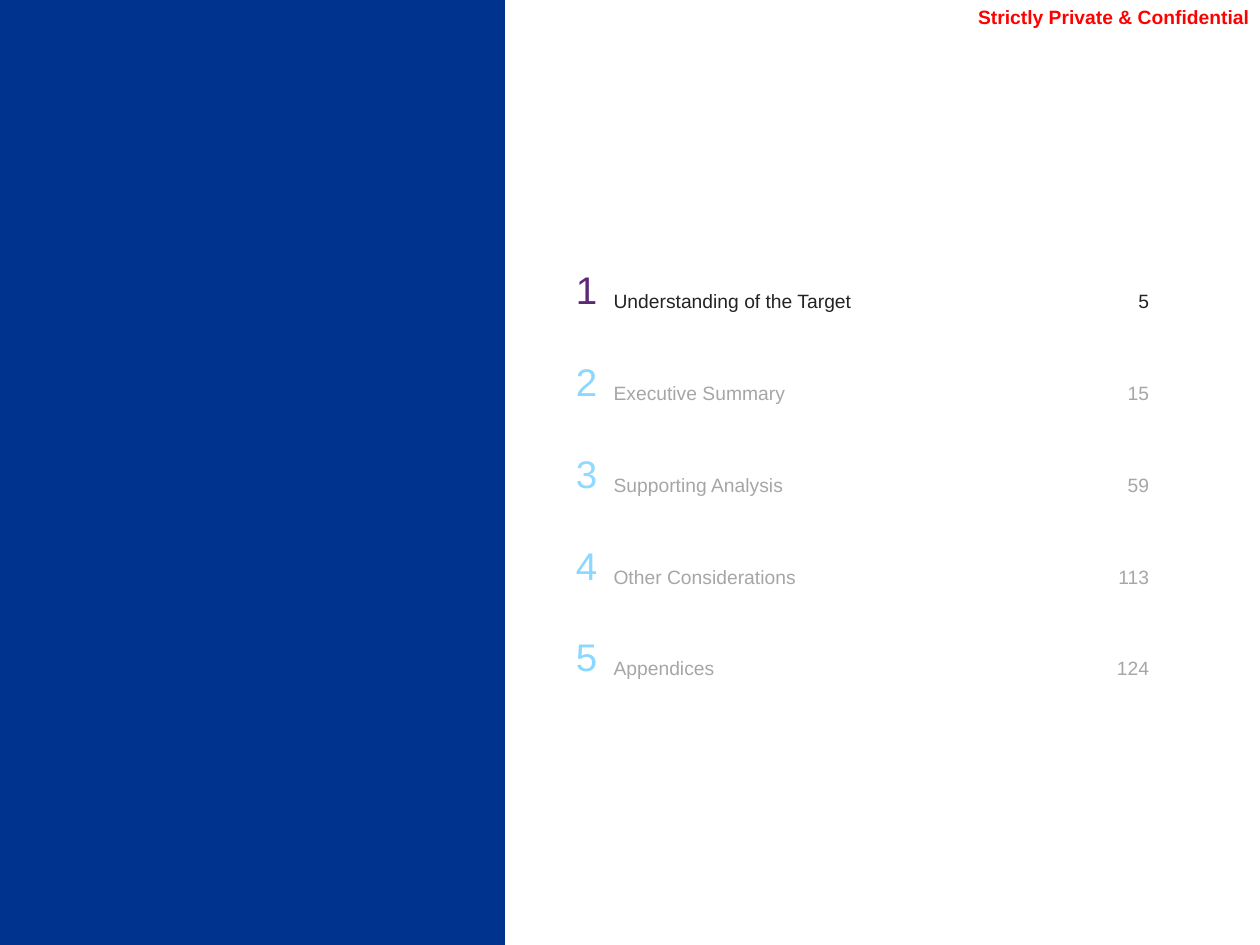
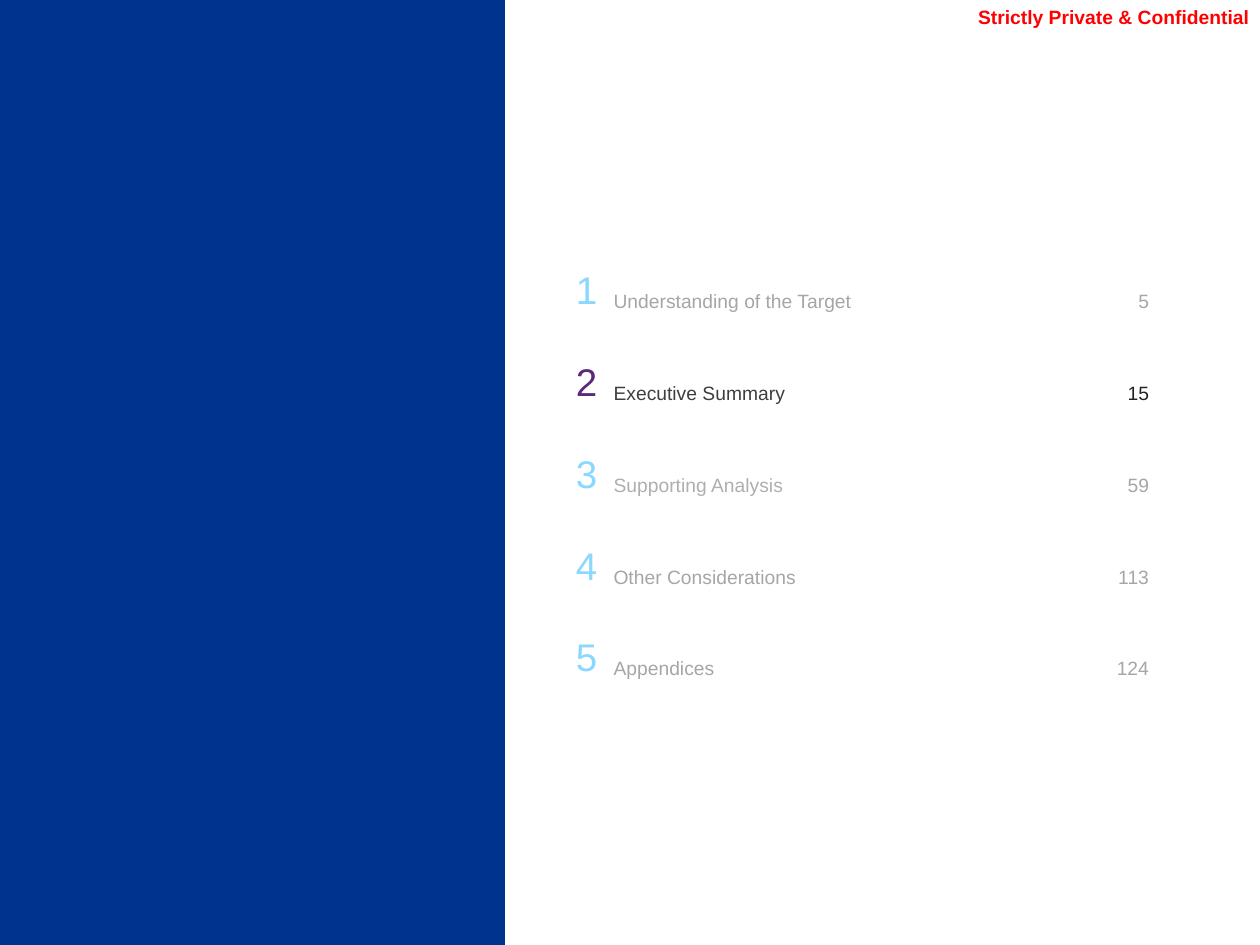
from pptx import Presentation
from pptx.dml.color import RGBColor
from pptx.enum.shapes import MSO_SHAPE as Shape
from pptx.enum.text import MSO_ANCHOR as Anchor, PP_ALIGN as Align
from pptx.util import Pt

FONT = "Arial"
BLUE = RGBColor(0x00, 0x33, 0x8D)
RED = RGBColor(0xFF, 0x00, 0x00)
PURPLE = RGBColor(0x5D, 0x28, 0x7A)
SKY = RGBColor(0x8A, 0xD8, 0xFF)
PALE_SKY = RGBColor(0x90, 0xDA, 0xFF)
INK = RGBColor(0x23, 0x23, 0x23)
CHARCOAL = RGBColor(0x3F, 0x3F, 0x3F)
GREY = RGBColor(0xA6, 0xA6, 0xA6)
PALE_GREY = RGBColor(0xAF, 0xAF, 0xAF)

SECTIONS = [
    ("Understanding of the Target", 5),
    ("Executive Summary", 15),
    ("Supporting Analysis", 59),
    ("Other Considerations", 113),
    ("Appendices", 124),
]
ROW_HEIGHT = 52.42
NUMBER, LABEL, PAGE = range(3)
SIZES = (22, 11, 11)
ALIGNMENTS = (Align.RIGHT, Align.LEFT, Align.RIGHT)
# Left, top, right and bottom cell margins of each column
MARGINS = ((6.5, 3.6, 6.5, 3.6), (2.9, 15.8, 0, 3.6), (6.5, 15.8, 6.5, 3.6))


def set_margins(target, margins):
    left, top, right, bottom = map(Pt, margins)
    target.margin_left, target.margin_top = left, top
    target.margin_right, target.margin_bottom = right, bottom


def write(text_frame, text, size, color, alignment, bold=False):
    paragraph = text_frame.paragraphs[0]
    paragraph.text = text
    paragraph.alignment = alignment
    font = paragraph.font
    font.name, font.size, font.bold = FONT, Pt(size), bold
    font.color.rgb = color


def add_side_panel(slide):
    panel = slide.shapes.add_shape(Shape.RECTANGLE, 0, 0, Pt(288.5), Pt(540))
    panel.shadow.inherit = False
    panel.fill.solid()
    panel.fill.fore_color.rgb = BLUE
    panel.line.fill.background()


def add_confidential_mark(slide):
    box = slide.shapes.add_textbox(Pt(537), Pt(-0.7), Pt(180), Pt(20))
    text_frame = box.text_frame
    text_frame.word_wrap = True
    text_frame.vertical_anchor = Anchor.BOTTOM
    set_margins(text_frame, (0, 2.9, 2.9, 2.9))
    write(text_frame, "Strictly Private & Confidential", 11, RED, Align.RIGHT, bold=True)


def add_contents(slide, current, widths, exceptions):
    """Contents table with section `current` lit; exceptions maps (section, column) to a colour."""
    table = slide.shapes.add_table(
        len(SECTIONS), len(widths), Pt(310.3), Pt(140.4),
        Pt(sum(widths)), Pt(ROW_HEIGHT * len(SECTIONS))).table
    table.first_row = table.horz_banding = False
    for column, width in zip(table.columns, widths):
        column.width = Pt(width)
    for number, (label, page) in enumerate(SECTIONS, start=1):
        row = number - 1
        table.rows[row].height = Pt(ROW_HEIGHT)
        colors = (PURPLE, INK, INK) if number == current else (SKY, GREY, GREY)
        for column, text in enumerate((str(number), label, str(page))):
            cell = table.cell(row, column)
            cell.fill.background()
            cell.vertical_anchor = Anchor.MIDDLE
            set_margins(cell, MARGINS[column])
            color = exceptions.get((number, column), colors[column])
            write(cell.text_frame, text, SIZES[column], color, ALIGNMENTS[column])


def add_divider(presentation, current, widths, exceptions):
    slide = presentation.slides.add_slide(presentation.slide_layouts[6])
    add_side_panel(slide)
    add_confidential_mark(slide)
    add_contents(slide, current, widths, exceptions)


def main():
    presentation = Presentation()
    presentation.slide_width, presentation.slide_height = Pt(720), Pt(540)
    add_divider(presentation, 1, (37.4, 280.8, 34.6), {(3, NUMBER): PALE_SKY})
    add_divider(presentation, 2, (37.4, 278.7, 36.7),
                {(2, LABEL): CHARCOAL, (3, LABEL): PALE_GREY})
    presentation.save("out.pptx")


if __name__ == "__main__":
    main()
